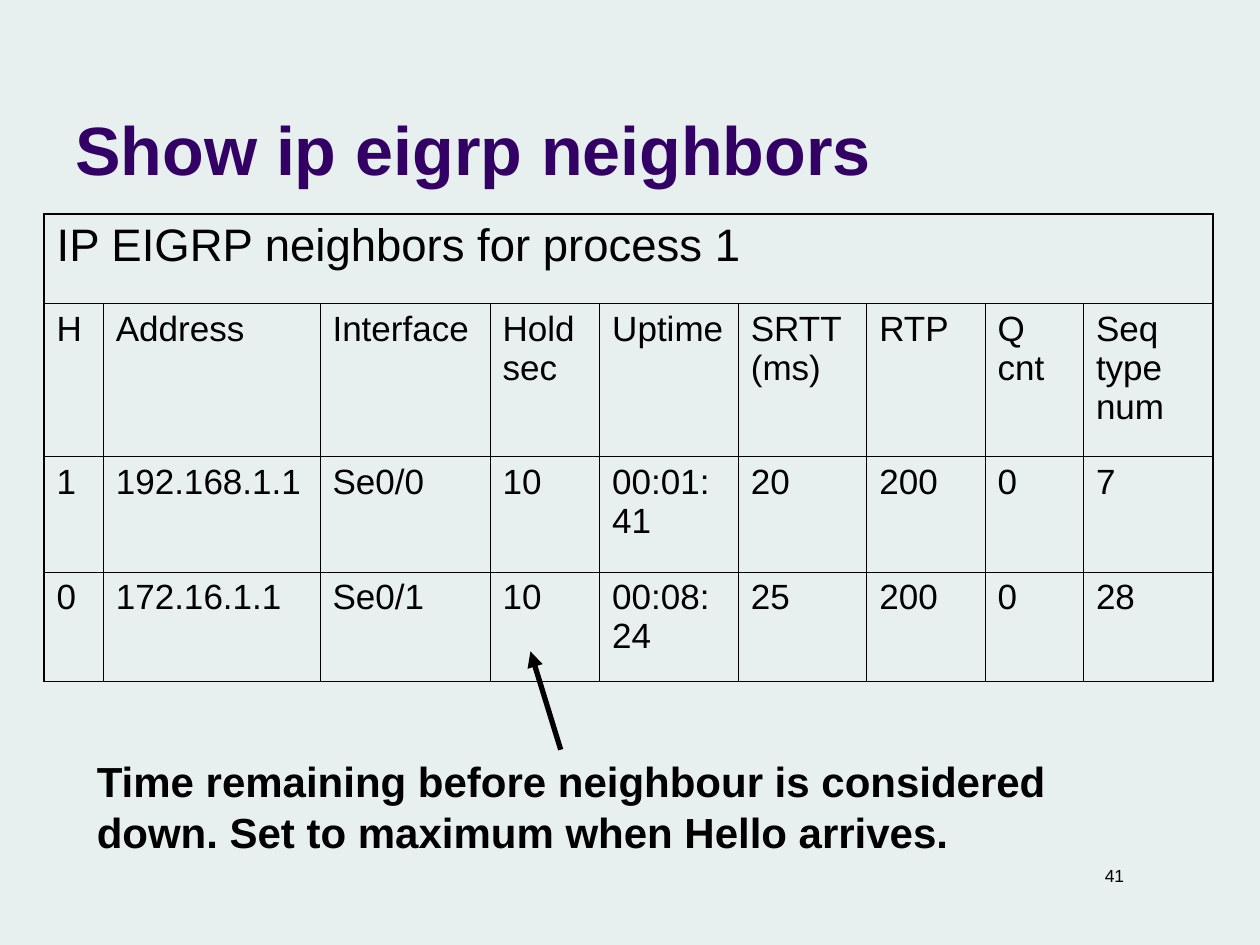
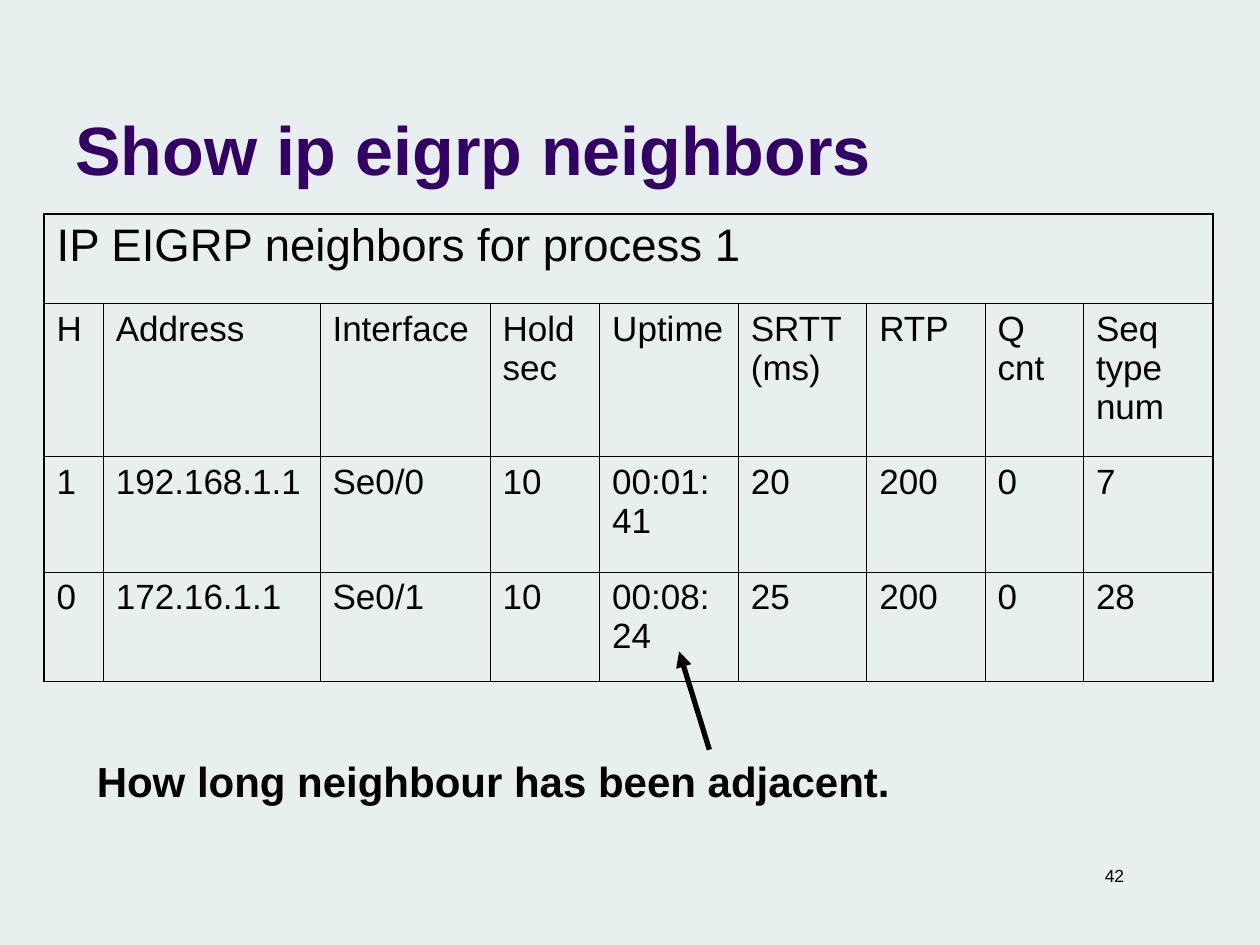
"""Build two slides that explain the fields of the EIGRP neighbor table."""
import dataclasses

import lxml.etree
import pptx
import pptx.dml.color
import pptx.enum.shapes
import pptx.enum.text
import pptx.oxml.ns
import pptx.util

Inches = pptx.util.Inches
Pt = pptx.util.Pt
Align = pptx.enum.text.PP_ALIGN
Anchor = pptx.enum.text.MSO_ANCHOR
qn = pptx.oxml.ns.qn


@dataclasses.dataclass(frozen=True)
class Theme:
    font: str = "Arial"
    background: str = "E7EFEF"
    heading: str = "330066"
    ink: str = "000000"
    title_size: int = 39
    process_size: int = 26
    caption_size: int = 24
    cell_size: int = 20
    number_size: int = 10
    outer_border: float = 1.08
    inner_border: float = 0.45
    arrow_width: int = 3


THEME = Theme()
TITLE = "Show ip eigrp neighbors"
PROCESS = "IP EIGRP neighbors for process 1"
NEIGHBORS = [
    ["H", "Address", "Interface", "Hold\nsec", "Uptime", "SRTT (ms)", "RTP", "Q cnt", "Seq type num"],
    ["1", "192.168.1.1", "Se0/0", "10", "00:01:41", "20", "200", "0", "7"],
    ["0", "172.16.1.1", "Se0/1", "10", "00:08:24", "25", "200", "0", "28"],
]
COLUMN_WIDTHS = [0.47, 1.72, 1.35, 0.87, 1.1, 1.02, 0.94, 0.78, 1.03]
ROW_HEIGHTS = [0.71, 1.21, 0.92, 0.87]
EXPLANATIONS = [
    (41, "Time remaining before neighbour is considered down. Set to maximum when Hello arrives.", 0.9, 4.21),
    (42, "How long neighbour has been adjacent.", 0.5, 5.39),
]


def rgb(value):
    return pptx.dml.color.RGBColor.from_string(value)


def write(paragraph, text, size, color=THEME.ink, bold=False):
    for index, line in enumerate(text.split("\n")):
        if index:
            paragraph.add_line_break()
        run = paragraph.add_run()
        run.text = line
        run.font.name = THEME.font
        run.font.size = Pt(size)
        run.font.bold = bold
        run.font.color.rgb = rgb(color)


def add_text(slide, box, text, size, color=THEME.ink, bold=False, align=Align.LEFT, anchor=Anchor.TOP):
    frame = slide.shapes.add_textbox(*map(Inches, box)).text_frame
    frame.word_wrap = True
    frame.vertical_anchor = anchor
    frame.paragraphs[0].alignment = align
    write(frame.paragraphs[0], text, size, color, bold)


def set_borders(cell, widths):
    properties = cell._tc.get_or_add_tcPr()
    for side, width in zip("LRTB", widths):
        border = lxml.etree.SubElement(properties, qn(f"a:ln{side}"), w=str(Pt(width)))
        fill = lxml.etree.SubElement(border, qn("a:solidFill"))
        lxml.etree.SubElement(fill, qn("a:srgbClr"), val=THEME.ink)


def add_neighbor_table(slide):
    row_count, column_count = len(ROW_HEIGHTS), len(COLUMN_WIDTHS)
    table = slide.shapes.add_table(
        row_count, column_count, Inches(0.35), Inches(1.7),
        Inches(sum(COLUMN_WIDTHS)), Inches(sum(ROW_HEIGHTS))).table
    table.first_row = table.horz_banding = False
    for column, width in zip(table.columns, COLUMN_WIDTHS):
        column.width = Inches(width)
    for row, height in zip(table.rows, ROW_HEIGHTS):
        row.height = Inches(height)
    table.cell(0, 0).merge(table.cell(0, column_count - 1))
    write(table.cell(0, 0).text_frame.paragraphs[0], PROCESS, THEME.process_size)
    for r, values in enumerate(NEIGHBORS, start=1):
        for c, value in enumerate(values):
            write(table.cell(r, c).text_frame.paragraphs[0], value, THEME.cell_size)
    for r in range(row_count):
        for c in range(column_count):
            cell = table.cell(r, c)
            on_edge = (c == 0 or r == 0 and c == 0,
                       c == column_count - 1 or cell.is_merge_origin,
                       r == 0, r == row_count - 1)
            set_borders(cell, [THEME.outer_border if edge else THEME.inner_border for edge in on_edge])
            cell.fill.background()


def add_pointer(slide, tip_x):
    pointer = slide.shapes.add_connector(
        pptx.enum.shapes.MSO_CONNECTOR.STRAIGHT,
        Inches(tip_x + 0.24), Inches(5.95), Inches(tip_x), Inches(5.17))
    pointer.line.color.rgb = rgb(THEME.ink)
    pointer.line.width = Pt(THEME.arrow_width)
    lxml.etree.SubElement(pointer.line._get_or_add_ln(), qn("a:tailEnd"), type="triangle")
    lxml.etree.SubElement(pointer._element.spPr, qn("a:effectLst"))


def add_neighbor_slide(deck, number, caption, caption_height, tip_x):
    slide = deck.slides.add_slide(deck.slide_layouts[6])
    add_text(slide, (6.97, 6.82, 2.05, 0.27), str(number), THEME.number_size, align=Align.RIGHT)
    add_text(slide, (0.5, 0.13, 8.25, 1.42), TITLE, THEME.title_size, THEME.heading,
             bold=True, anchor=Anchor.BOTTOM)
    add_neighbor_table(slide)
    add_text(slide, (0.67, 5.95, 8.03, caption_height), caption, THEME.caption_size, bold=True)
    add_pointer(slide, tip_x)


def main():
    deck = pptx.Presentation()
    deck.slide_width, deck.slide_height = Inches(10), Inches(7.5)
    backdrop = deck.slide_master.background.fill
    backdrop.solid()
    backdrop.fore_color.rgb = rgb(THEME.background)
    for explanation in EXPLANATIONS:
        add_neighbor_slide(deck, *explanation)
    deck.save("out.pptx")


if __name__ == "__main__":
    main()
